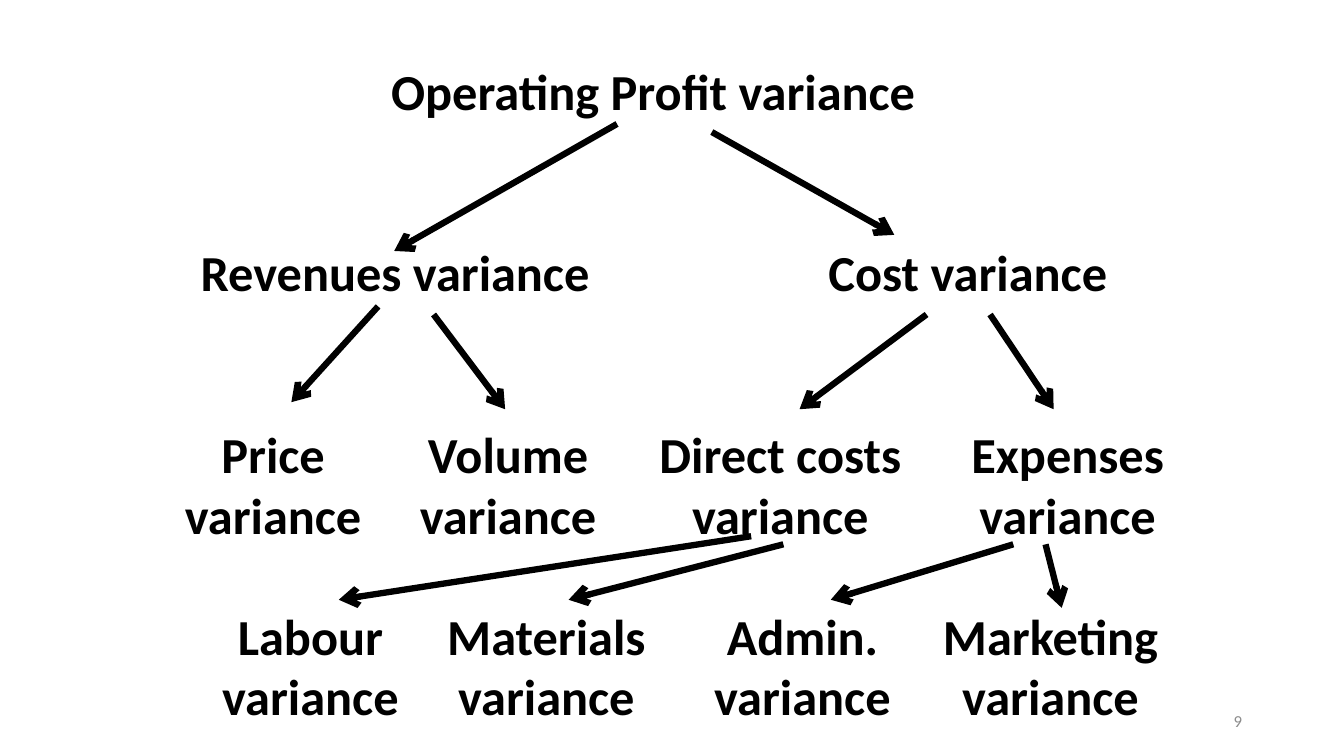
from lxml import etree
from pptx import Presentation
from pptx.dml.color import RGBColor
from pptx.enum import shapes, text
from pptx.oxml import ns
from pptx.util import Inches, Pt

COLORS = {"ink": "000000", "number": "8C8C8C", "background": "FFFFFF"}
FONT = "Calibri"
FIRST_TOP, LEVEL_STEP, LINE_HEIGHT = 0.59, 1.8, 0.61

LEVELS = [
    [(6.48, 6, ["Operating Profit variance"])],
    [(3.92, 4.5, ["Revenues variance"]), (9.6, 3.5, ["Cost variance"])],
    [(2.71, 2, ["Price", "variance"]),
     (5.04, 2, ["Volume", "variance"]),
     (7.74, 2.8, ["Direct costs", "variance"]),
     (10.59, 2.4, ["Expenses", "variance"])],
    [(3.08, 2, ["Labour", "variance"]),
     (5.42, 2.4, ["Materials", "variance"]),
     (7.96, 2, ["Admin.", "variance"]),
     (10.42, 2.5, ["Marketing", "variance"])],
]

ARROWS = [
    ((6.12, 1.23), (3.91, 2.49)),
    ((7.06, 1.31), (8.87, 2.33)),
    ((3.75, 3.04), (2.89, 3.99)),
    ((4.3, 3.12), (5.01, 4.06)),
    ((9.19, 3.12), (7.93, 4.06)),
    ((9.82, 3.12), (10.45, 4.06)),
    ((7.45, 5.32), (3.36, 5.95)),
    ((7.77, 5.4), (5.64, 5.95)),
    ((10.05, 5.4), (8.24, 5.95)),
    ((10.37, 5.4), (10.53, 6.03)),
]


def add_text(slide, box, lines, size, color, align, bold=False):
    """Add a text box without margins, one paragraph per line."""
    shape = slide.shapes.add_textbox(*map(Inches, box))
    frame = shape.text_frame
    frame.word_wrap = True
    frame.vertical_anchor = text.MSO_ANCHOR.MIDDLE
    frame.margin_left = frame.margin_right = 0
    frame.margin_top = frame.margin_bottom = 0
    for index, line in enumerate(lines):
        paragraph = frame.add_paragraph() if index else frame.paragraphs[0]
        paragraph.alignment = align
        run = paragraph.add_run()
        run.text = line
        run.font.name = FONT
        run.font.size = Pt(size)
        run.font.bold = bold
        run.font.color.rgb = RGBColor.from_string(COLORS[color])


def add_variance(slide, level, center, width, lines):
    """Add a variance label centred on its place in the tree."""
    top = FIRST_TOP + level * LEVEL_STEP
    box = (center - width / 2, top, width, LINE_HEIGHT * len(lines))
    add_text(slide, box, lines, 36, "ink", text.PP_ALIGN.CENTER, bold=True)


def add_arrow(slide, start, end):
    """Add a thick straight arrow from start to end."""
    connector = slide.shapes.add_connector(
        shapes.MSO_CONNECTOR.STRAIGHT, *map(Inches, start + end))
    connector.line.width = Pt(4.5)
    connector.line.color.rgb = RGBColor.from_string(COLORS["ink"])
    line = connector.line._get_or_add_ln()
    etree.SubElement(line, ns.qn("a:tailEnd"), type="arrow")
    etree.SubElement(connector._element.spPr, ns.qn("a:effectLst"))


def main():
    """Build the variance tree slide."""
    presentation = Presentation()
    presentation.slide_width = Inches(13.33)
    presentation.slide_height = Inches(7.5)
    slide = presentation.slides.add_slide(presentation.slide_layouts[6])
    fill = slide.background.fill
    fill.solid()
    fill.fore_color.rgb = RGBColor.from_string(COLORS["background"])
    for level, variances in enumerate(LEVELS):
        for center, width, lines in variances:
            add_variance(slide, level, center, width, lines)
    for start, end in ARROWS:
        add_arrow(slide, start, end)
    add_text(slide, (9.42, 6.95, 2.9, 0.4), ["9"], 12, "number",
             text.PP_ALIGN.RIGHT)
    presentation.save("out.pptx")


if __name__ == "__main__":
    main()
